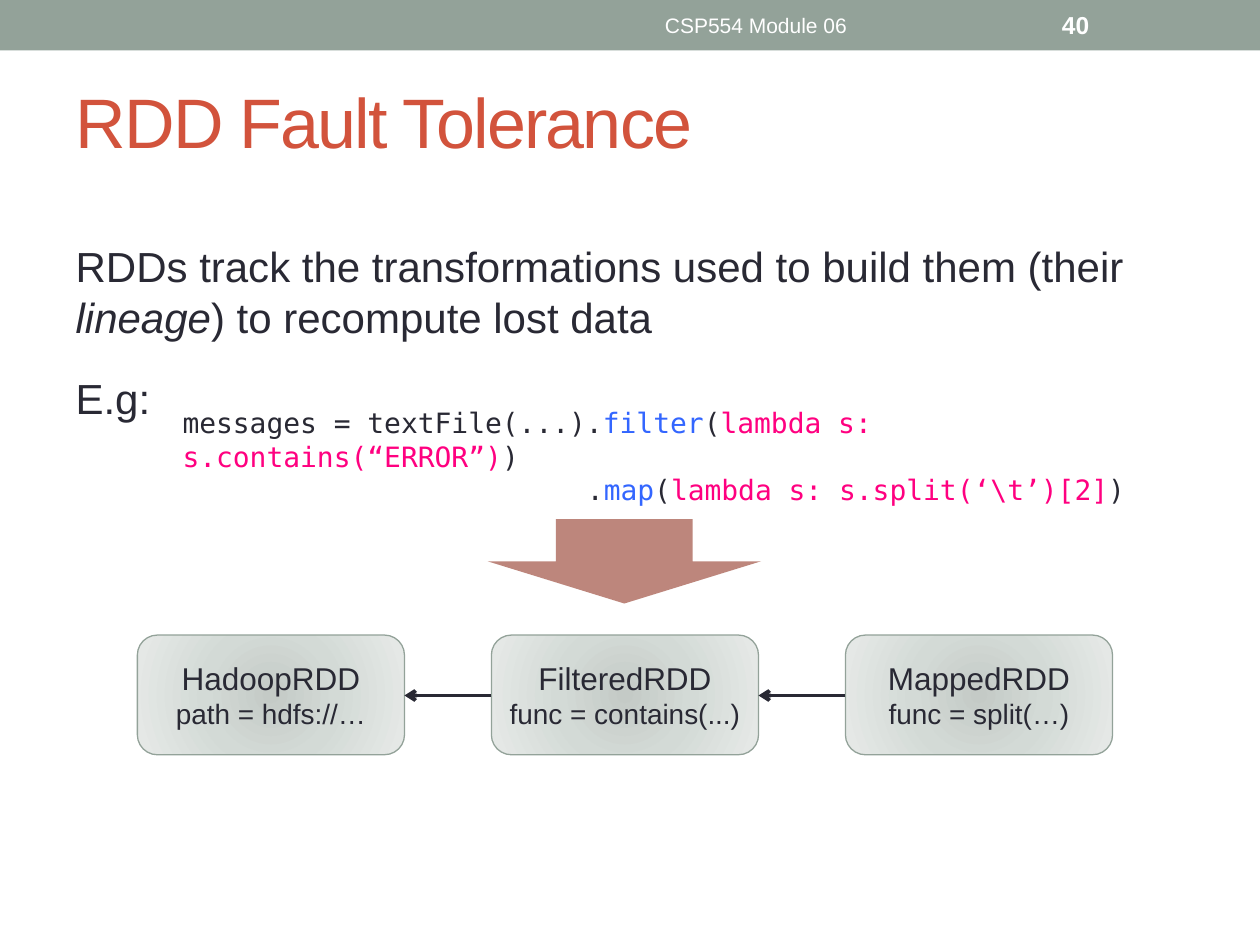
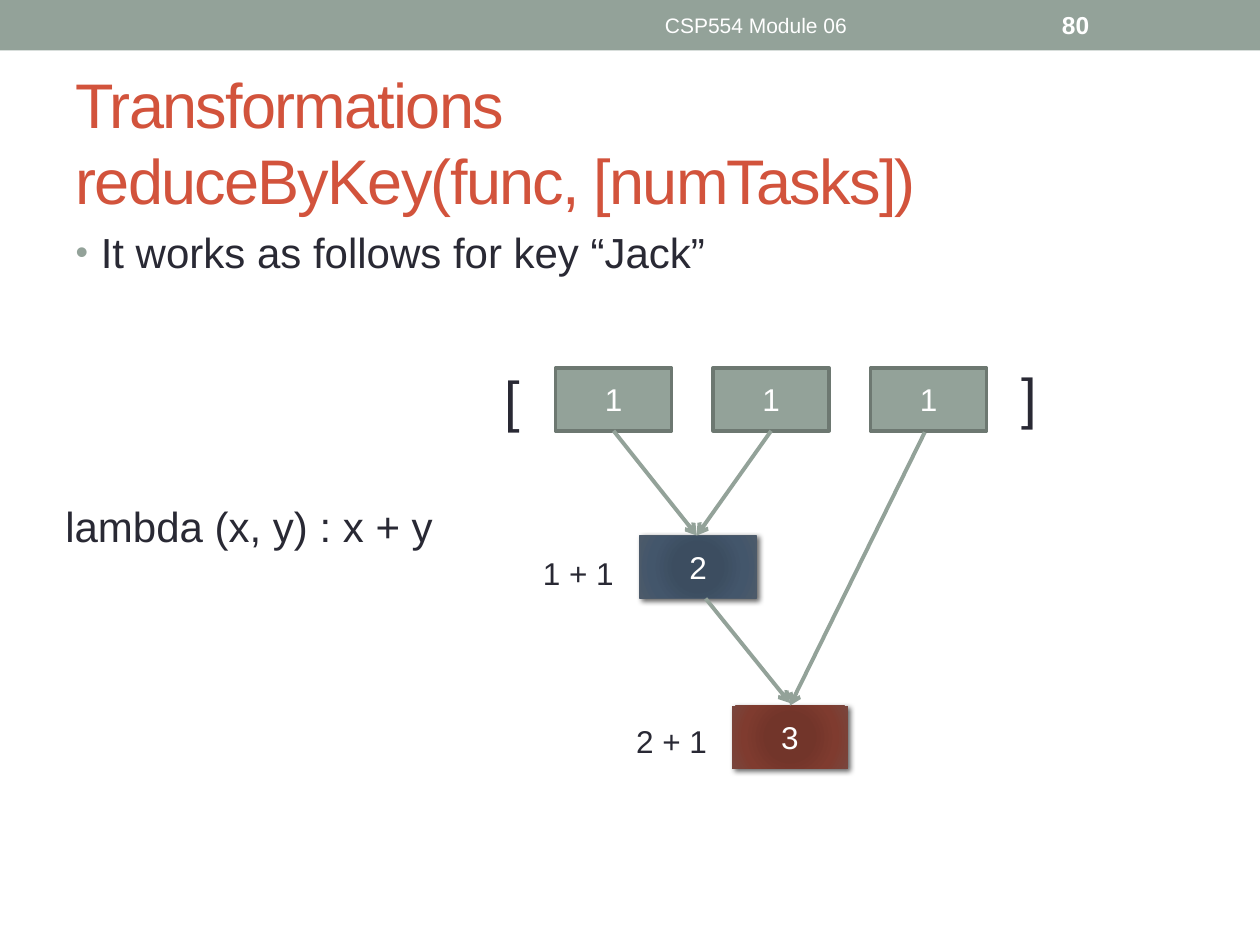
from copy import deepcopy
from lxml.etree import SubElement
from pptx import Presentation
from pptx.dml.color import RGBColor
from pptx.enum.shapes import MSO_CONNECTOR, MSO_SHAPE
from pptx.enum.text import MSO_ANCHOR, MSO_AUTO_SIZE, PP_ALIGN
from pptx.oxml.ns import qn
from pptx.util import Inches, Pt

SAGE = RGBColor(0x93, 0xA2, 0x99)
SAGE_EDGE = RGBColor(0x6D, 0x78, 0x71)
CLAY = RGBColor(0xBD, 0x86, 0x7C)
RUST = RGBColor(0xD2, 0x53, 0x3C)
INK = RGBColor(0x29, 0x29, 0x34)
SLATE = RGBColor(0x4C, 0x5A, 0x6A)
BLUE = RGBColor(0x33, 0x66, 0xFF)
PINK = RGBColor(0xFF, 0x00, 0x80)
WHITE = RGBColor(0xFF, 0xFF, 0xFF)
MIST_STOPS = [(0, "C4CAC6"), (45, "D3DAD6"), (100, "E7EAE8")]
SLATE_STOPS = [(0, "3B4D61"), (34, "3C4D60"), (70, "43566B"), (100, "4C5A6A")]
BRICK_STOPS = [(0, "743327"), (34, "72352A"), (70, "7F3B2F"), (100, "79463D")]
SANS = "Arial"
MONO = "DejaVu Sans Mono"


def style(paragraph, size, color, align=PP_ALIGN.LEFT, font=SANS):
    paragraph.alignment = align
    for run in paragraph.runs:
        run.font.name = font
        run.font.size = Pt(size)
        run.font.color.rgb = color


def add_box(slide, preset, left, top, width, height, fill, edge=None, edge_width=0.75):
    box = slide.shapes.add_shape(preset, Inches(left), Inches(top), Inches(width), Inches(height))
    box.shadow.inherit = False
    box.fill.solid()
    if isinstance(fill, RGBColor):
        box.fill.fore_color.rgb = fill
    else:
        solid = box._element.spPr.find(qn("a:solidFill"))
        gradient = solid.makeelement(qn("a:gradFill"), {"rotWithShape": "1"})
        solid.getparent().replace(solid, gradient)
        stops = SubElement(gradient, qn("a:gsLst"))
        for position, tint in fill:
            stop = SubElement(stops, qn("a:gs"), pos=str(position * 1000))
            SubElement(stop, qn("a:srgbClr"), val=tint)
        radial = SubElement(gradient, qn("a:path"), path="circle")
        SubElement(radial, qn("a:fillToRect"), l="100000", t="100000", r="100000", b="100000")
    if edge is None:
        box.line.fill.background()
    else:
        box.line.color.rgb = edge
        box.line.width = Pt(edge_width)
    return box


prs = Presentation()
prs.slide_width = Inches(10)
prs.slide_height = Inches(7.5)

pages = [
    ("RDD Fault Tolerance", 40, 0.33, 1.25, "40", 1.86, 9.08, 4.56),
    ("Transformations\vreduceByKey(func, [numTasks])", 36, 0.58, 1.08, "80", 1.75, 9, 0.75),
]
for heading, size, top, height, number, body_top, body_width, body_height in pages:
    slide = prs.slides.add_slide(prs.slide_layouts[1])
    add_box(slide, MSO_SHAPE.RECTANGLE, 0, 0, 10, 0.4, SAGE)

    title = slide.shapes.title
    title.left, title.top, title.width, title.height = Inches(0.5), Inches(top), Inches(9), Inches(height)
    title.text_frame.text = heading
    title.text_frame.vertical_anchor = MSO_ANCHOR.MIDDLE
    title.text_frame.auto_size = MSO_AUTO_SIZE.NONE
    title_line = title.text_frame.paragraphs[0]
    style(title_line, size, RUST)
    for run in title_line.runs:
        run._r.get_or_add_rPr().set("spc", "-100")
    for line_break in title_line._p.findall(qn("a:br")):
        line_break.append(deepcopy(title_line.runs[0]._r.rPr))

    body = slide.placeholders[1]
    body.left, body.top = Inches(0.5), Inches(body_top)
    body.width, body.height = Inches(body_width), Inches(body_height)
    body.text_frame.auto_size = MSO_AUTO_SIZE.NONE

    for text, left, width, points, align, bold in [
        ("CSP554 Module 06", 3.75, 4.5, 12, PP_ALIGN.CENTER, False),
        (number, 8.33, 1.17, 14, PP_ALIGN.LEFT, True),
    ]:
        band_text = slide.shapes.add_textbox(Inches(left), Inches(0.02), Inches(width), Inches(0.36)).text_frame
        band_text.word_wrap = True
        band_text.vertical_anchor = MSO_ANCHOR.MIDDLE
        band_text.text = text
        style(band_text.paragraphs[0], points, WHITE, align)
        band_text.paragraphs[0].runs[0].font.bold = bold

lineage_slide, reduce_slide = prs.slides

explanation = lineage_slide.placeholders[1].text_frame
for text in ["RDDs track the transformations used to build them (their ", "lineage", ") to recompute lost data"]:
    run = explanation.paragraphs[0].add_run()
    run.text = text
    run.font.italic = text == "lineage"
explanation.add_paragraph().text = "E.g:"
for paragraph in explanation.paragraphs:
    paragraph.space_before = Pt(18)
    style(paragraph, 24, INK)
    properties = paragraph._p.get_or_add_pPr()
    properties.set("marL", "0")
    properties.set("indent", "0")
    SubElement(properties, qn("a:buNone"))

code = lineage_slide.shapes.add_textbox(Inches(1.35), Inches(3.17), Inches(8.28), Inches(0.91)).text_frame
code.word_wrap = True
code_lines = [
    [("messages = textFile(...).", INK), ("filter", BLUE), ("(", INK),
     ("lambda s: s.contains(“ERROR”)", PINK), (")", INK)],
    [(".", INK), ("map", BLUE), ("(", INK), ("lambda s: s.split(‘\\t’)[2]", PINK), (")", INK)],
]
code.add_paragraph()
for paragraph, pieces in zip(code.paragraphs, code_lines):
    for text, color in pieces:
        paragraph.add_run().text = text
    style(paragraph, 16, INK, font=MONO)
    for run, (text, color) in zip(paragraph.runs, pieces):
        run.font.color.rgb = color
code.paragraphs[1]._p.get_or_add_pPr().set("marL", str(Inches(3.21)))

add_box(lineage_slide, MSO_SHAPE.DOWN_ARROW, 3.87, 4.12, 2.17, 0.67, CLAY)

rdds = [
    ("HadoopRDD", "path = hdfs://…"),
    ("FilteredRDD", "func = contains(...)"),
    ("MappedRDD", "func = split(…)"),
]
for index, (rdd, detail) in enumerate(rdds):
    node = add_box(lineage_slide, MSO_SHAPE.ROUNDED_RECTANGLE, 1.09 + 2.81 * index, 5.04, 2.12, 0.95,
                   MIST_STOPS, SAGE)
    label = node.text_frame
    label.margin_left = label.margin_right = 0
    label.text = rdd
    label.add_paragraph().text = detail
    for paragraph, points in zip(label.paragraphs, (18, 16)):
        style(paragraph, points, INK, PP_ALIGN.CENTER)

bullet = reduce_slide.placeholders[1].text_frame.paragraphs[0]
bullet.text = "It works as follows for key “Jack”"
style(bullet, 24, INK)
properties = bullet._p.get_or_add_pPr()
properties.set("marL", str(Inches(0.2)))
properties.set("indent", str(Inches(-0.2)))
SubElement(SubElement(properties, qn("a:buClr")), qn("a:srgbClr"), val=str(SAGE))
SubElement(properties, qn("a:buSzPct"), val="85000")
SubElement(properties, qn("a:buFont"), typeface=SANS)
SubElement(properties, qn("a:buChar"), char="•")

values = [("1", 4.41 + 1.25 * index, 2.92, SAGE, SAGE_EDGE, 2.08) for index in range(3)]
sums = [("2", 5.08, 4.25, SLATE_STOPS, SLATE, 0.75), ("3", 5.81, 5.6, BRICK_STOPS, None, 0)]
for value, left, top, fill, edge, edge_width in values + sums:
    cell = add_box(reduce_slide, MSO_SHAPE.RECTANGLE, left, top, 0.92, 0.5, fill, edge, edge_width)
    cell.text_frame.text = value
    style(cell.text_frame.paragraphs[0], 18, WHITE, PP_ALIGN.CENTER)
    if fill is not SAGE:
        shadow = SubElement(cell._element.spPr.find(qn("a:effectLst")), qn("a:outerShdw"),
                            blurRad=str(Pt(3)), dist=str(Pt(2)), dir="2700000", rotWithShape="0")
        black = SubElement(shadow, qn("a:srgbClr"), val="000000")
        SubElement(black, qn("a:alpha"), val="60000")

for text, left, top, width, height, points in [
    ("[", 3.91, 2.85, 0.33, 0.64, 32),
    ("]", 8.01, 2.83, 0.33, 0.64, 32),
    ("1 + 1", 4.21, 4.35, 0.77, 0.4, 18),
    ("2 + 1", 4.95, 5.68, 0.77, 0.4, 18),
    ("lambda (x, y) : x + y", 0.42, 3.92, 3.15, 0.5, 24),
]:
    note = reduce_slide.shapes.add_textbox(Inches(left), Inches(top), Inches(width), Inches(height)).text_frame
    note.word_wrap = False
    note.auto_size = MSO_AUTO_SIZE.SHAPE_TO_FIT_TEXT
    note.text = text
    style(note.paragraphs[0], points, INK)

for slide, start_x, start_y, end_x, end_y, color, width in [
    (lineage_slide, 3.9, 5.52, 3.21, 5.52, INK, 2.08),
    (lineage_slide, 6.71, 5.52, 6.02, 5.52, INK, 2.08),
    (reduce_slide, 4.87, 3.42, 5.53, 4.25, SAGE, 2.25),
    (reduce_slide, 6.12, 3.42, 5.53, 4.25, SAGE, 2.25),
    (reduce_slide, 5.6, 4.75, 6.27, 5.58, SAGE, 2.25),
    (reduce_slide, 7.34, 3.43, 6.27, 5.6, SAGE, 2.25),
]:
    arrow = slide.shapes.add_connector(MSO_CONNECTOR.STRAIGHT, Inches(start_x), Inches(start_y),
                                       Inches(end_x), Inches(end_y))
    arrow.line.color.rgb = color
    arrow.line.width = Pt(width)
    SubElement(arrow.line._get_or_add_ln(), qn("a:tailEnd"), type="arrow")
    SubElement(arrow._element.spPr, qn("a:effectLst"))

prs.save("out.pptx")
